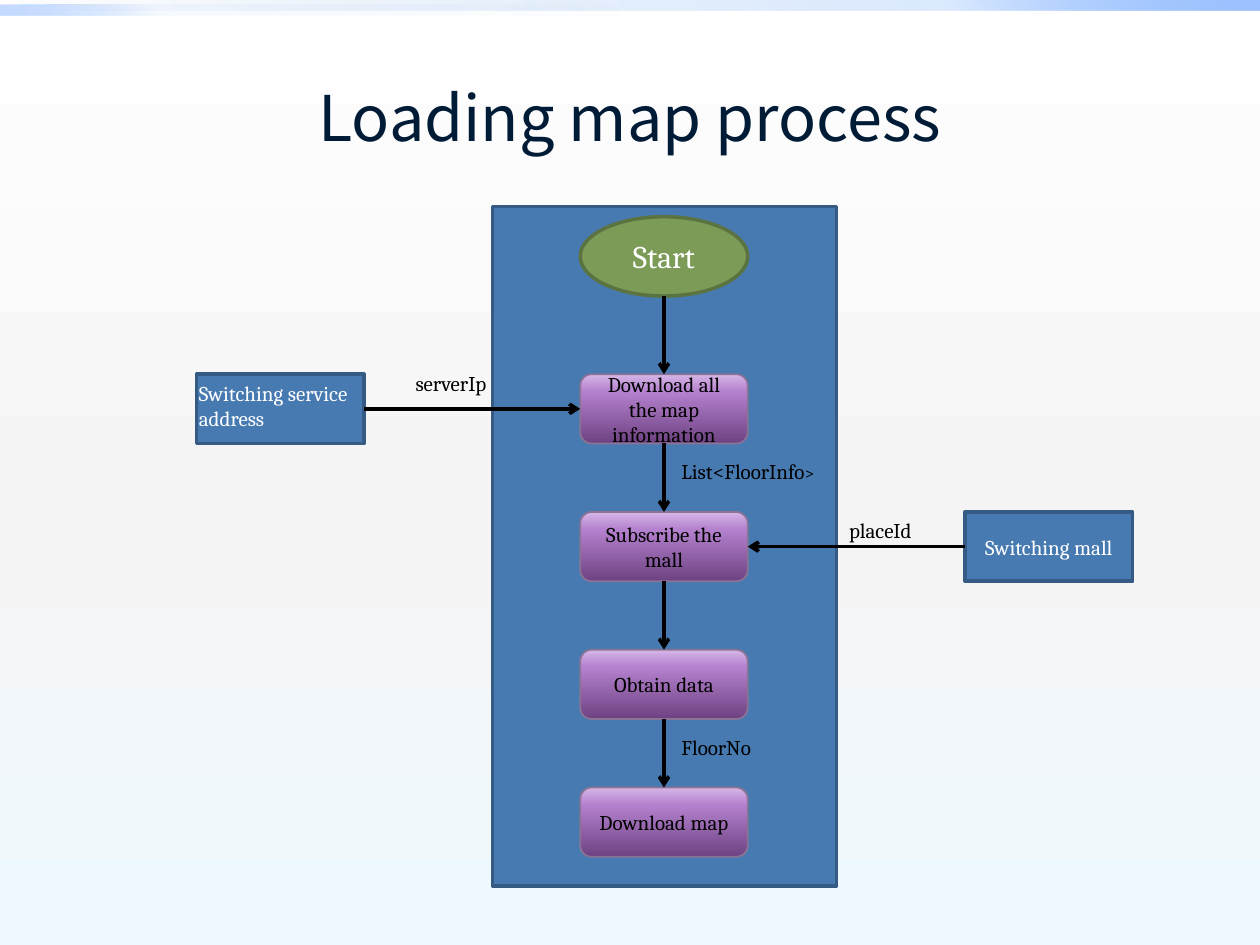
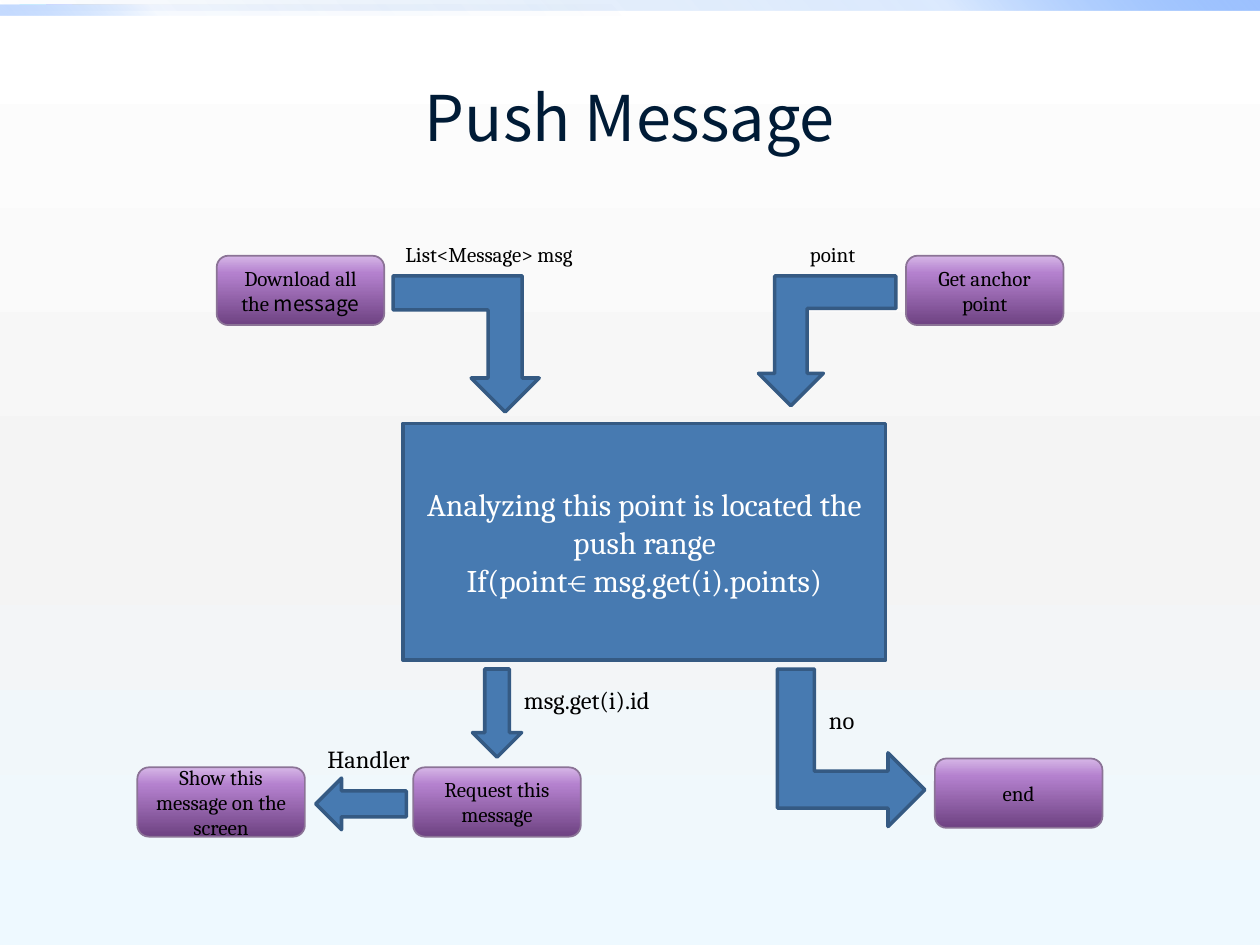
from lxml.etree import SubElement as Sub
from pptx import Presentation
from pptx.dml.color import RGBColor
from pptx.enum.shapes import MSO_CONNECTOR as Conn, MSO_SHAPE as Geo
from pptx.enum.text import MSO_ANCHOR as Anchor, PP_ALIGN as Align
from pptx.oxml.ns import qn
from pptx.util import Inches, Pt

# Shared look
WIDE, HIGH = 10, 7.5
SERIF, SANS = "Cambria", "Noto Sans CJK SC"
BLACK, WHITE, NAVY = "000000", "FFFFFF", "001B36"
BLUE, EDGE = "477AB1", "355A83"
BACK = (90, [(0, "FFFFFF", 100), (55, "F4F4F4", 100), (100, "EEF9FF", 100)])
BANDS = [  # left, top, width, height, gradient
    (0, 0, WIDE, 0.08,
     (315, [(0, "0058B7", 0), (75, "4F95FF", 20), (100, "9EC2FF", 100)])),
    (0, 0.04, WIDE / 2, 0.08,
     (135, [(0, "0058B7", 0), (75, "4F95FF", 5), (100, "9EC2FF", 60)])),
]
PURPLE = (270, [(0, "6E4282", 100), (75, "B481CE", 100), (100, "D6B6E7", 100)])
LOOKS = {  # geometry, fill, edge, edge width, text colour, text size
    "step": (Geo.FLOWCHART_ALTERNATE_PROCESS, PURPLE, "8B7396", 1, BLACK, 12),
    "box": (Geo.RECTANGLE, BLUE, EDGE, 2, WHITE, 12),
    "big": (Geo.RECTANGLE, BLUE, EDGE, 2, WHITE, 18),
    "start": (Geo.OVAL, "7B9B57", "5B7340", 2, WHITE, 18),
    "down": (Geo.DOWN_ARROW, BLUE, EDGE, 2, WHITE, 12),
    "bent": (Geo.BENT_UP_ARROW, BLUE, EDGE, 2, WHITE, 12),
}
NODE_W, NODE_H = 1.33, 0.55

# Slide 1: steps in one column, inputs at the sides
MID, TOP, LAST = 5.27, 2.97, 6.25
STEPS = ["Download all the map information", "Subscribe the mall",
         "Obtain data", "Download map"]
PITCH = (LAST - TOP) / (len(STEPS) - 1)
START = (1.72, 0.63)  # top, height
PANEL = (3.91, 1.64, 2.73, 5.39)
INPUTS = [(1.56, 0, ""), (7.66, 1, "Switching mall")]  # left, row, text
MAP_TAGS = [  # left, top, width, size, text, colour
    (5.31, 3.59, 1.48, 12, [("List<FloorInfo", {}), (">", {"size": Pt(10)})], BLACK),
    (5.31, 5.78, 1.02, 12, "FloorNo", BLACK),
    (6.64, 4.06, 1.17, 12, "placeId", BLACK),
    (3.2, 2.89, 1.17, 12, "serverIp", BLACK),
    (1.48, 2.97, 1.51, 12, "Switching service address", WHITE),
]

# Slide 2: nodes, block arrows and tags
NODES = [  # look, left, top, width, height, text
    ("step", 7.19, 2.03, 1.25, NODE_H, "Get anchor point"),
    ("big", 3.2, 3.36, 3.83, 1.88,
     "Analyzing this point is located the push range\n"
     "If(point⋲ msg.get(i).points)"),
    ("step", 1.72, 2.03, NODE_W, NODE_H,
     [("Download all the ", {}), ("message", {"name": SANS})]),
    ("step", 3.28, 6.09, NODE_W, NODE_H, "Request this message"),
    ("step", 1.09, 6.09, NODE_W, NODE_H, "Show this message on the screen"),
    ("step", 7.42, 6.02, NODE_W, NODE_H, "end"),
]
BLOCKS = [  # look, left, top, width, height, turn, flipped
    ("bent", 3.12, 2.19, 1.16, 1.08, 0, True),
    ("bent", 6.02, 2.19, 1.09, 1.03, 180, False),
    ("down", 3.75, 5.31, 0.39, 0.7, 0, False),
    ("down", 2.66, 6.02, 0.41, 0.72, 90, False),
    ("bent", 6.13, 5.35, 1.25, 1.17, 90, False),
]
PUSH_TAGS = [
    (3.12, 1.87, 1.6, 12, "List<Message> msg", BLACK),
    (6.33, 1.87, 0.58, 12, "point", BLACK),
    (6.48, 5.55, 0.42, 14, "no", BLACK),
    (4.06, 5.39, 1.25, 14, "msg.get(i).id", BLACK),
    (2.5, 5.86, 0.93, 14, "Handler", BLACK),
]


def rgb(code):
    return RGBColor.from_string(code)


def paint(fill, root, tint):
    """Fill with a hex colour or an (angle, stops) gradient."""
    if isinstance(tint, str):
        fill.solid()
        fill.fore_color.rgb = rgb(tint)
        return
    angle, stops = tint
    fill.gradient()
    grad = root.find(".//" + qn("a:gradFill"))
    for part in list(grad):
        grad.remove(part)
    group = Sub(grad, qn("a:gsLst"))
    for pos, code, alpha in stops:
        stop = Sub(group, qn("a:gs"), pos=str(pos * 1000))
        color = Sub(stop, qn("a:srgbClr"), val=code)
        if alpha < 100:
            Sub(color, qn("a:alpha"), val=str(alpha * 1000))
    Sub(grad, qn("a:lin"), ang=str(angle * 60000), scaled="0")


def write(shape, text, size, color, face=SERIF, align=Align.CENTER,
          anchor=Anchor.MIDDLE):
    """Write lines of text, or one line given as (text, format) runs."""
    frame = shape.text_frame
    frame.word_wrap, frame.vertical_anchor = True, anchor
    lines = ([[(line, {})] for line in text.split("\n")]
             if isinstance(text, str) else [text])
    for i, runs in enumerate(lines):
        para = frame.add_paragraph() if i else frame.paragraphs[0]
        para.alignment = align
        for words, extra in runs:
            run = para.add_run()
            run.text = words
            run.font.color.rgb = rgb(color)
            for key, val in {"name": face, "size": Pt(size), **extra}.items():
                setattr(run.font, key, val)


def add_form(slide, geo, place, tint):
    shape = slide.shapes.add_shape(geo, *map(Inches, place))
    shape.shadow.inherit = False
    paint(shape.fill, shape._element, tint)
    return shape


def add_node(slide, look, place, text=""):
    geo, tint, edge, weight, color, size = LOOKS[look]
    shape = add_form(slide, geo, place, tint)
    shape.line.color.rgb = rgb(edge)
    shape.line.width = Pt(weight)
    if text:
        write(shape, text, size, color)
    return shape


def add_arrow(slide, *ends):
    link = slide.shapes.add_connector(Conn.STRAIGHT, *map(Inches, ends))
    link.line.color.rgb = rgb(BLACK)
    link.line.width = Pt(2)
    props = link._element.spPr
    Sub(props.find(qn("a:ln")), qn("a:tailEnd"), type="arrow")
    Sub(props, qn("a:effectLst"))


def add_tags(slide, tags):
    for left, top, width, size, text, color in tags:
        box = slide.shapes.add_textbox(*map(Inches, (left, top, width, 0.3)))
        write(box, text, size, color, align=Align.LEFT, anchor=Anchor.TOP)


def add_page(deck, title):
    slide = deck.slides.add_slide(deck.slide_layouts[6])
    paint(slide.background.fill, slide._element, BACK)
    for *place, tint in BANDS:
        add_form(slide, Geo.RECTANGLE, place, tint).line.fill.background()
    box = slide.shapes.add_textbox(*map(Inches, (0.5, 0.3, WIDE - 1, 1.25)))
    write(box, title, 36, NAVY, SANS)
    return slide


def draw_map(deck):
    slide = add_page(deck, "Loading map process")
    add_node(slide, "box", PANEL)
    left, right = MID - NODE_W / 2, MID + NODE_W / 2
    head, tall = START
    add_node(slide, "start", (left, head, NODE_W, tall), "Start")
    above = head + tall
    for row, text in enumerate(STEPS):
        top = TOP + row * PITCH
        add_node(slide, "step", (left, top, NODE_W, NODE_H), text)
        add_arrow(slide, MID, above, MID, top)
        above = top + NODE_H
    for side, row, text in INPUTS:
        top = TOP + row * PITCH
        y = top + NODE_H / 2
        add_node(slide, "box", (side, top, NODE_W, NODE_H), text)
        ends = (side + NODE_W, left) if side < MID else (side, right)
        add_arrow(slide, ends[0], y, ends[1], y)
    add_tags(slide, MAP_TAGS)


def draw_push(deck):
    slide = add_page(deck, "Push Message")
    for look, *place, text in NODES:
        add_node(slide, look, place, text)
    for look, *place, turn, flip in BLOCKS:
        block = add_node(slide, look, place)
        block.rotation = turn
        if flip:
            block._element.spPr.find(qn("a:xfrm")).set("flipV", "1")
    add_tags(slide, PUSH_TAGS)


def main():
    deck = Presentation()
    deck.slide_width, deck.slide_height = Inches(WIDE), Inches(HIGH)
    draw_map(deck)
    draw_push(deck)
    deck.save("out.pptx")


if __name__ == "__main__":
    main()
